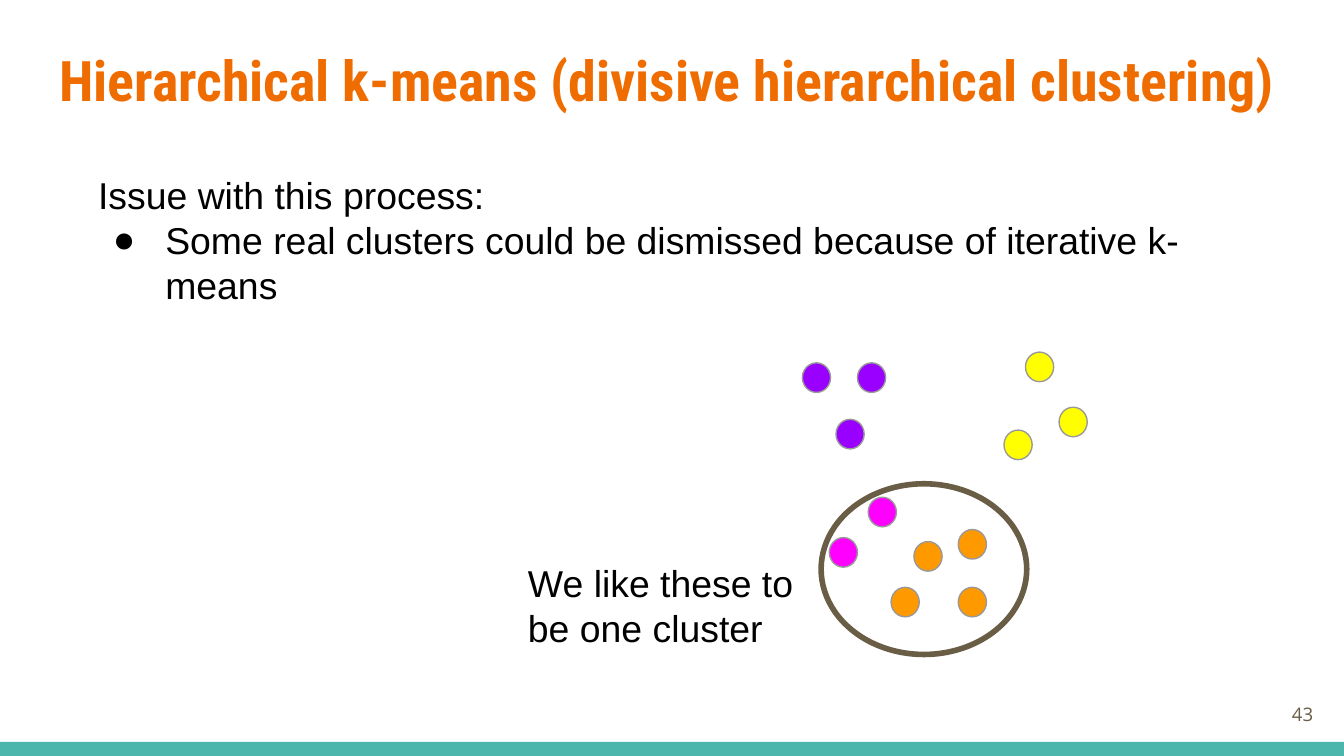
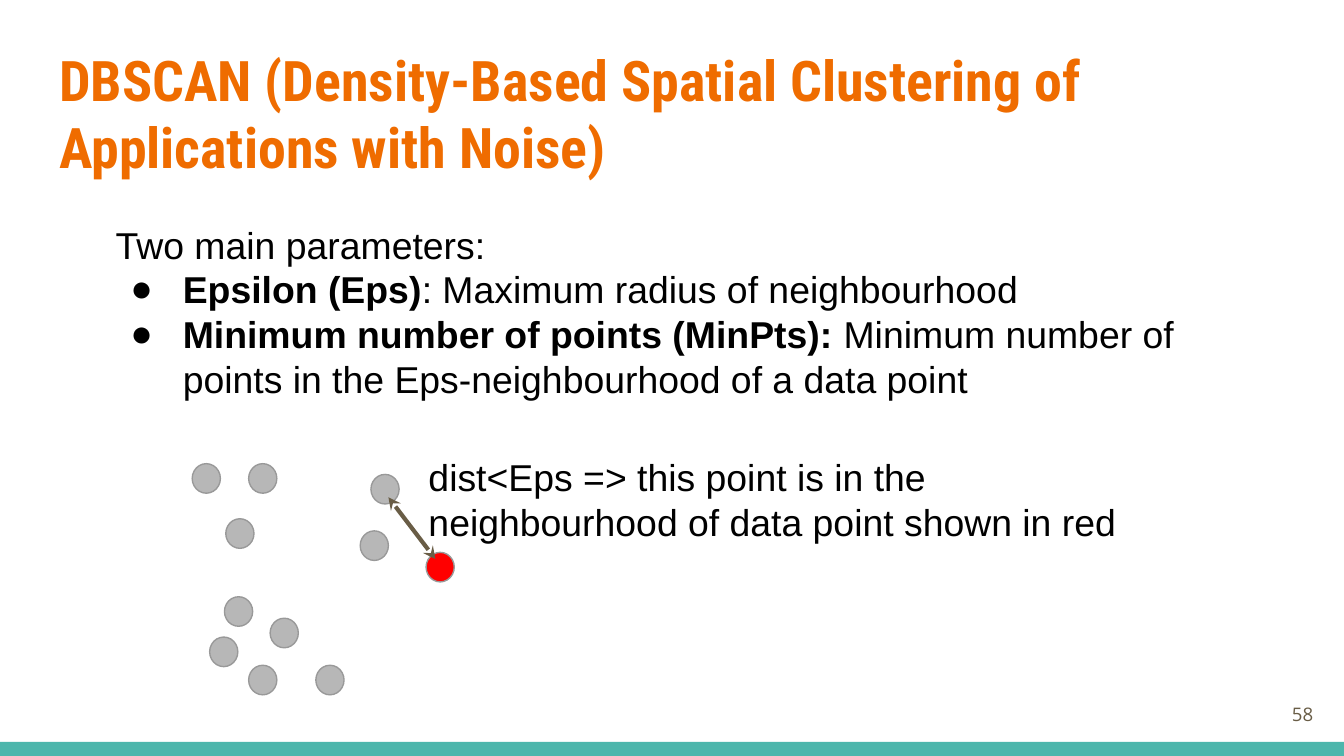
"""Build two slides on clustering: divisive k-means and DBSCAN."""
from typing import NamedTuple

from lxml.etree import SubElement
from pptx import Presentation
from pptx.dml.color import RGBColor
from pptx.enum.shapes import MSO_CONNECTOR as Connector, MSO_SHAPE as Shape
from pptx.enum.text import MSO_ANCHOR as Anchor, MSO_AUTO_SIZE as AutoSize, PP_ALIGN as Align
from pptx.oxml.ns import qn
from pptx.util import Inches, Pt

TEAL, ORANGE, BROWN, BLACK = "4DB6AC", "EF6C00", "695D46", "000000"
GREY, OUTLINE, RED = "B7B7B7", "999999", "FF0000"
PURPLE, MAGENTA, AMBER, YELLOW = "9900FF", "FF00FF", "FF9900", "FFFF00"
DOT_WIDTH, DOT_HEIGHT = 0.21, 0.22


class Area(NamedTuple):
    left: float
    top: float
    width: float
    height: float

    def lengths(self):
        return [Inches(value) for value in self]


class Style(NamedTuple):
    font: str
    size: int
    color: str
    bold: bool = False


class Span(NamedTuple):
    text: str
    bold: bool = False


class Cluster(NamedTuple):
    color: str
    corners: list[tuple[float, float]]


TITLE = Style("Roboto Condensed", 30, ORANGE, True)
BODY = Style("Arial", 20, BLACK)
NUMBER = Style("Open Sans", 10, BROWN)

KMEANS_CLUSTERS = [
    Cluster(PURPLE, [(5.97, 2.7), (6.38, 2.7), (6.22, 3.12)]),
    Cluster(MAGENTA, [(6.46, 3.7), (6.17, 4)]),
    Cluster(AMBER, [(7.13, 4.37), (6.63, 4.37), (7.13, 3.94), (6.8, 4.03)]),
    Cluster(YELLOW, [(7.47, 3.2), (7.63, 2.62), (7.88, 3.03)]),
]
DBSCAN_CLUSTERS = [
    Cluster(GREY, [(1.43, 3.45), (1.85, 3.45), (1.68, 3.86), (1.67, 4.44), (2.35, 4.95),
                   (1.85, 4.95), (2.68, 3.95), (2.76, 3.53), (1.56, 4.74), (2.01, 4.6)]),
    Cluster(RED, [(3.17, 4.11)]),
]


def rgb(color: str) -> RGBColor:
    return RGBColor.from_string(color)


def format_paragraph(para, style: Style, align=Align.LEFT) -> None:
    para.alignment = align
    para.line_spacing = 1.0
    para.space_before = para.space_after = Pt(0)
    for run in para.runs:
        run.font.name = style.font
        run.font.size = Pt(style.size)
        run.font.color.rgb = rgb(style.color)
        run.font.bold = run.font.bold or style.bold


def format_frame(box, area: Area, anchor=Anchor.TOP) -> None:
    box.left, box.top, box.width, box.height = area.lengths()
    frame = box.text_frame
    frame.word_wrap = True
    frame.auto_size = AutoSize.NONE
    frame.vertical_anchor = anchor
    frame.margin_left = frame.margin_right = Inches(0.1)
    frame.margin_top = frame.margin_bottom = Inches(0.1)


def write_text(box, area: Area, text: str, style: Style,
               align=Align.LEFT, anchor=Anchor.TOP) -> None:
    format_frame(box, area, anchor)
    box.text_frame.text = text
    format_paragraph(box.text_frame.paragraphs[0], style, align)


def add_text(page, area: Area, text: str, style: Style, **layout) -> None:
    write_text(page.shapes.add_textbox(*area.lengths()), area, text, style, **layout)


def set_bullet(para, bulleted: bool) -> None:
    properties = para._p.get_or_add_pPr()
    properties.set("marL", str(Inches(0.5 if bulleted else 0)))
    properties.set("indent", str(Inches(-0.39 if bulleted else 0)))
    if bulleted:
        color = SubElement(properties, qn("a:buClr"))
        SubElement(color, qn("a:srgbClr"), val=BLACK)
        SubElement(properties, qn("a:buFont"), typeface=BODY.font)
        SubElement(properties, qn("a:buChar"), char="●")
    else:
        SubElement(properties, qn("a:buNone"))


def write_list(box, area: Area, intro: str, items: list[list[Span]]) -> None:
    format_frame(box, area)
    frame = box.text_frame
    frame.text = intro
    for item in items:
        para = frame.add_paragraph()
        for span in item:
            run = para.add_run()
            run.text = span.text
            run.font.bold = span.bold
    for index, para in enumerate(frame.paragraphs):
        format_paragraph(para, BODY)
        set_bullet(para, index > 0)


def add_figure(page, kind, area: Area, fill: str | None,
               line: str | None = None, weight: float = 0.75) -> None:
    figure = page.shapes.add_shape(kind, *area.lengths())
    figure.shadow.inherit = False
    if fill:
        figure.fill.solid()
        figure.fill.fore_color.rgb = rgb(fill)
    else:
        figure.fill.background()
    if line:
        figure.line.color.rgb = rgb(line)
        figure.line.width = Pt(weight)
    else:
        figure.line.fill.background()


def add_clusters(page, clusters: list[Cluster]) -> None:
    for cluster in clusters:
        for left, top in cluster.corners:
            area = Area(left, top, DOT_WIDTH, DOT_HEIGHT)
            add_figure(page, Shape.OVAL, area, cluster.color, OUTLINE)


def add_double_arrow(page, start: tuple[float, float], end: tuple[float, float]) -> None:
    ends = [Inches(value) for value in (*start, *end)]
    arrow = page.shapes.add_connector(Connector.STRAIGHT, *ends)
    arrow.line.color.rgb = rgb(BROWN)
    arrow.line.width = Pt(2.25)
    line = arrow.line._get_or_add_ln()
    for tag in ("a:headEnd", "a:tailEnd"):
        SubElement(line, qn(tag), type="stealth")
    SubElement(arrow._element.spPr, qn("a:effectLst"))


def add_page(deck, title: str, title_height: float, number: int):
    page = deck.slides.add_slide(deck.slide_layouts[1])
    add_figure(page, Shape.RECTANGLE, Area(0, 5.52, 10, 0.11), TEAL)
    write_text(page.shapes.title, Area(0.34, 0.24, 9.32, title_height), title, TITLE)
    add_text(page, Area(9.27, 5.1, 0.6, 0.43), str(number), NUMBER,
             align=Align.RIGHT, anchor=Anchor.MIDDLE)
    return page


def add_kmeans_page(deck) -> None:
    page = add_page(deck, "Hierarchical k-means (divisive hierarchical clustering)", 0.77, 43)
    write_list(page.placeholders[1], Area(0.63, 1.18, 8.54, 1.27), "Issue with this process:", [
        [Span("Some real clusters could be dismissed because of iterative k-means")],
    ])
    add_clusters(page, KMEANS_CLUSTERS)
    add_figure(page, Shape.OVAL, Area(6.11, 3.6, 1.53, 1.27), None, BROWN, 3)
    add_text(page, Area(3.83, 4.07, 2.19, 1.2), "We like these to be one cluster", BODY)


def add_dbscan_page(deck) -> None:
    page = add_page(
        deck, "DBSCAN (Density-Based Spatial Clustering of Applications with Noise)", 1.1, 58)
    write_list(page.placeholders[1], Area(0.76, 1.55, 8.39, 1.56), "Two main parameters:", [
        [Span("Epsilon (Eps)", True), Span(": Maximum radius of neighbourhood")],
        [Span("Minimum number of points (MinPts): ", True),
         Span("Minimum number of points in the Eps-neighbourhood of a data point")],
    ])
    add_clusters(page, DBSCAN_CLUSTERS)
    add_text(page, Area(3.09, 3.28, 5.43, 0.75),
             "dist<Eps => this point is in the neighbourhood of data point shown in red", BODY)
    add_double_arrow(page, (3.24, 4.16), (2.89, 3.7))


def main() -> None:
    deck = Presentation()
    deck.slide_width = Inches(10)
    deck.slide_height = deck.slide_width * 9 // 16
    add_kmeans_page(deck)
    add_dbscan_page(deck)
    deck.save("out.pptx")


if __name__ == "__main__":
    main()
